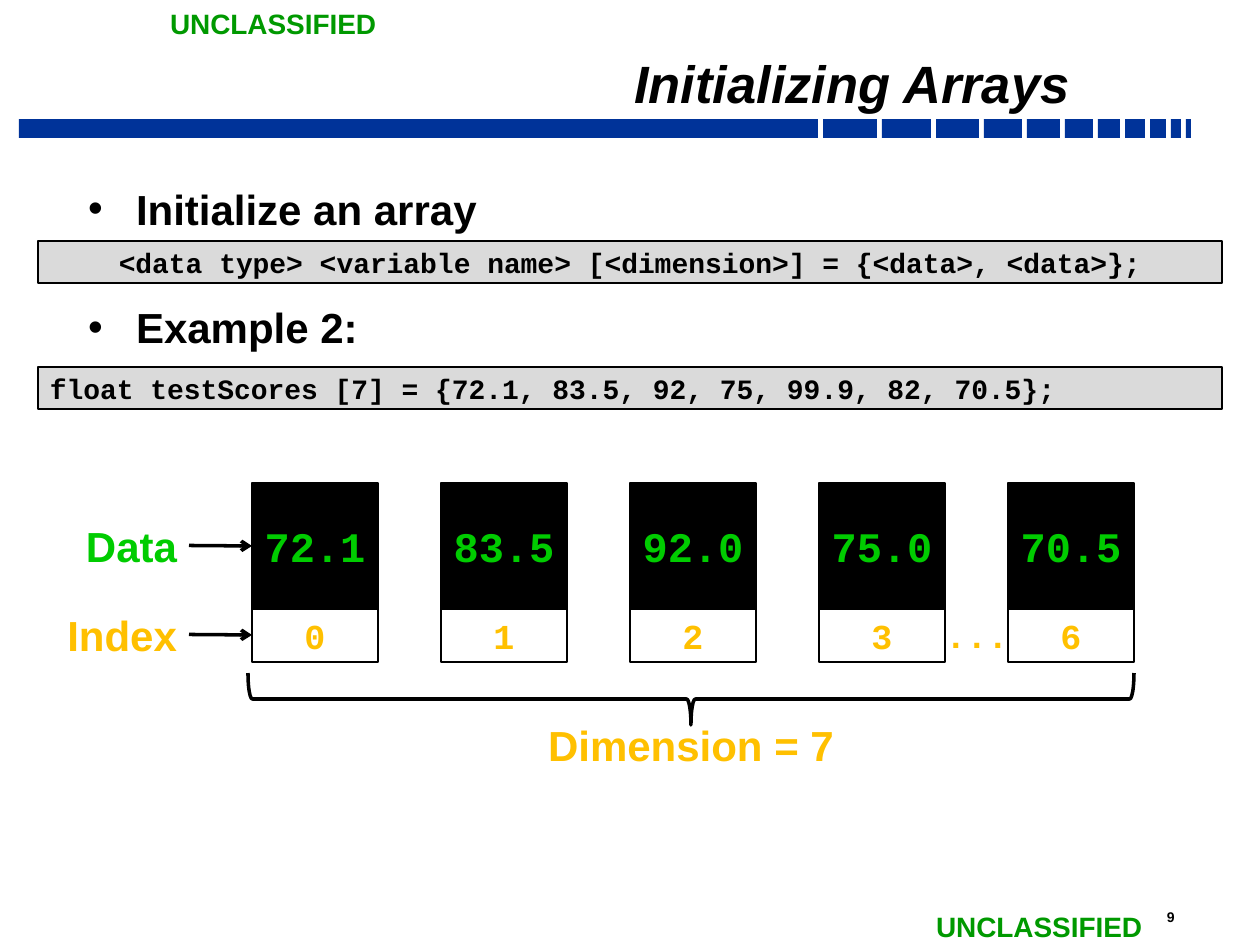
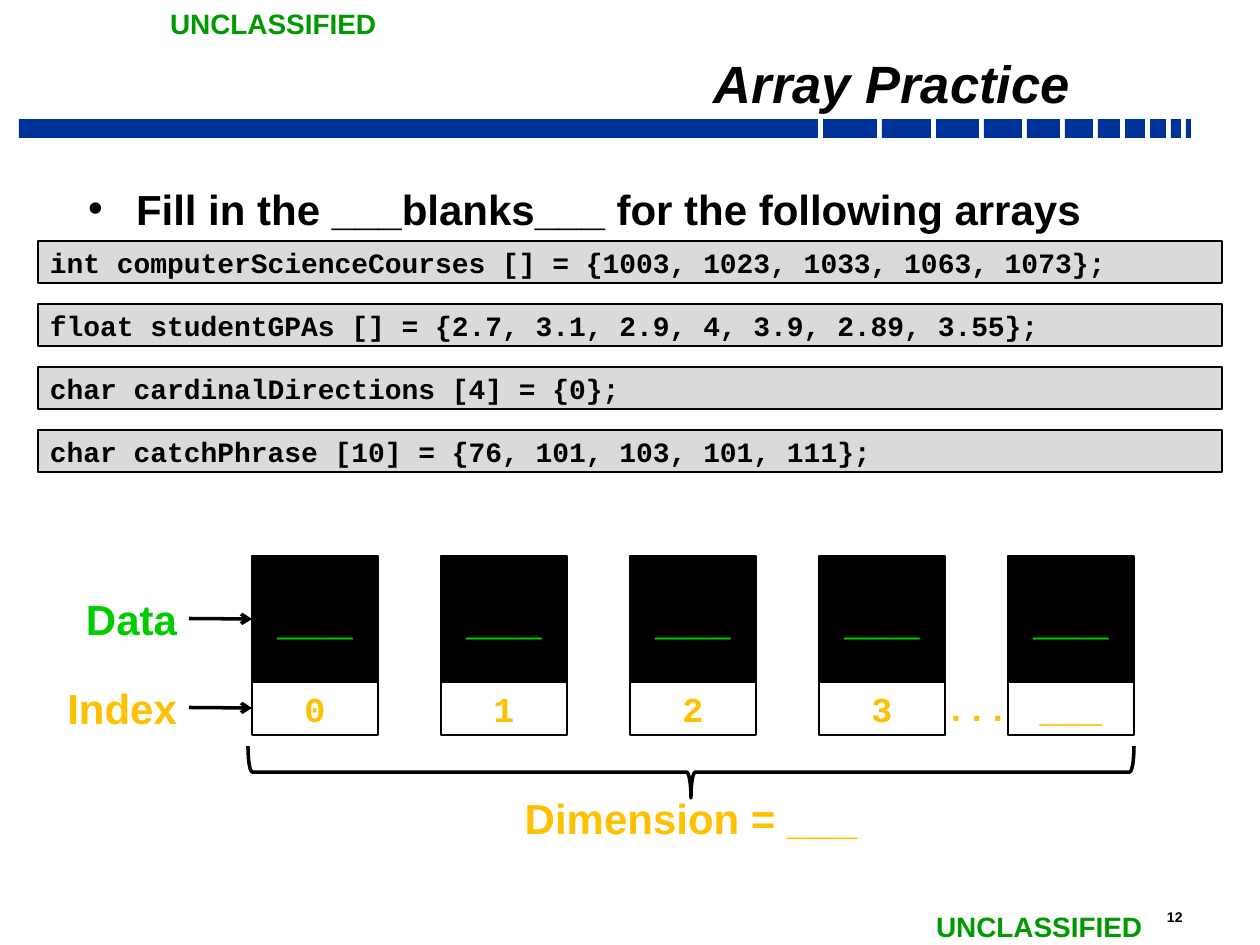
"""Builds two slides about initializing arrays in C."""
from lxml import etree
from pptx import Presentation
from pptx import util as u
from pptx.dml.color import RGBColor
from pptx.enum import shapes, text
from pptx.oxml import ns

SLIDES = [
    {
        "title": "Initializing Arrays",
        "number": "9",
        "bullets": [("Initialize an array", 3), ("Example 2:", 39)],
        "code": [
            (0, "<data type> <variable name> [<dimension>] = {<data>, <data>};", "center"),
            (2, "float testScores [7] = {72.1, 83.5, 92, 75, 99.9, 82, 70.5};", "left"),
        ],
        "array_top": 483,
        "cells": [("72.1", "0"), ("83.5", "1"), ("92.0", "2"), ("75.0", "3"), ("70.5", "6")],
        "dimension": "Dimension = 7",
    },
    {
        "title": "Array Practice",
        "number": "12",
        "bullets": [("Fill in the ___blanks___ for the following arrays", 3)],
        "code": [
            (0, "int computerScienceCourses [] = {1003, 1023, 1033, 1063, 1073};", "left"),
            (1, "float studentGPAs [] = {2.7, 3.1, 2.9, 4, 3.9, 2.89, 3.55};", "left"),
            (2, "char cardinalDirections [4] = {0};", "left"),
            (3, "char catchPhrase [10] = {76, 101, 103, 101, 111};", "left"),
        ],
        "array_top": 556,
        "cells": [("___", "0"), ("___", "1"), ("___", "2"), ("___", "3"), ("___", "___")],
        "dimension": "Dimension = ___",
    },
]
MARKING = "UNCLASSIFIED"
MARKING_PLACES = [(158, 1), (924, 904)]
BAND_WIDTHS = (799, 54, 49, 43, 38, 33, 28, 22, 20, 16, 10, 5)
BAND_LEFT, BAND_TOP, BAND_HEIGHT, BAND_GAP = 19, 119, 19, 5
CODE_TOP, CODE_PITCH = 241, 63
CELL_LEFT, CELL_PITCH, CELL_SIZE, INDEX_HEIGHT = 252, 189, 126, 54
INDEX_OFFSET = 125
TIGHT, ROOMY = (12, 5), (12, 6)

BLACK = RGBColor(0x00, 0x00, 0x00)
WHITE = RGBColor(0xFF, 0xFF, 0xFF)
BLUE = RGBColor(0x00, 0x33, 0x99)
DARK_GREEN = RGBColor(0x00, 0x99, 0x00)
GREEN = RGBColor(0x00, 0xCC, 0x00)
AMBER = RGBColor(0xFF, 0xC0, 0x00)
GREY = RGBColor(0xDA, 0xDA, 0xDA)
SANS, MONO = "Arial", "Courier New"
ALIGN = {"left": text.PP_ALIGN.LEFT, "center": text.PP_ALIGN.CENTER, "right": text.PP_ALIGN.RIGHT}
FIT, FIXED = text.MSO_AUTO_SIZE.SHAPE_TO_FIT_TEXT, text.MSO_AUTO_SIZE.NONE
TOP, MIDDLE, BOTTOM = text.MSO_ANCHOR.TOP, text.MSO_ANCHOR.MIDDLE, text.MSO_ANCHOR.BOTTOM


def px(*lengths):
    return [u.Emu(round(length * 914400 / 126)) for length in lengths]


def outline_text(span):
    line = etree.Element(ns.qn("a:ln"), w=str(u.Pt(0.75)))
    fill = etree.SubElement(line, ns.qn("a:solidFill"))
    etree.SubElement(fill, ns.qn("a:srgbClr"), val=str(BLACK))
    span._r.get_or_add_rPr().insert(0, line)


def write(box, words, size, color, font=SANS, align="left", anchor=MIDDLE,
          inset=ROOMY, fit=FIXED, wrap=True, outlined=False):
    frame = box.text_frame
    frame.text = words
    frame.word_wrap = wrap
    frame.auto_size = fit
    frame.vertical_anchor = anchor
    frame.margin_left, frame.margin_top = frame.margin_right, frame.margin_bottom = px(*inset)
    for para in frame.paragraphs:
        para.alignment = ALIGN[align]
        for span in para.runs:
            span.font.name, span.font.size, span.font.bold = font, u.Pt(size), True
            span.font.color.rgb = color
            if outlined:
                outline_text(span)
    return frame.paragraphs


def add_label(page, area, words, size, color, **style):
    box = page.shapes.add_textbox(*px(*area))
    write(box, words, size, color, **style)
    return box


def add_box(page, area, fill=None, line=None, width=1, kind=shapes.MSO_SHAPE.RECTANGLE):
    box = page.shapes.add_shape(kind, *px(*area))
    box.shadow.inherit = False
    if fill is None:
        box.fill.background()
    else:
        box.fill.solid()
        box.fill.fore_color.rgb = fill
    if line is None:
        box.line.fill.background()
    else:
        box.line.color.rgb = line
        box.line.width = u.Pt(width)
    return box


def add_arrow(page, start, end):
    arrow = page.shapes.add_connector(shapes.MSO_CONNECTOR.STRAIGHT, 0, 0, 0, 0)
    arrow.begin_connect(start, 3)
    arrow.end_connect(end, 1)
    arrow.line.color.rgb = BLACK
    arrow.line.width = u.Pt(2)
    etree.SubElement(arrow.line._get_or_add_ln(), ns.qn("a:tailEnd"), type="arrow")
    etree.SubElement(arrow._element.spPr, ns.qn("a:effectLst"))


def add_frame(page, title, number):
    left = BAND_LEFT
    for width in BAND_WIDTHS:
        add_box(page, (left, BAND_TOP, width, BAND_HEIGHT), BLUE)
        left += width + BAND_GAP
    add_label(page, (1155, 903, 68, 29), number, 8, BLACK, anchor=TOP, fit=FIT)
    for place in MARKING_PLACES:
        add_label(page, (*place, 234, 47), MARKING, 16, DARK_GREEN, anchor=TOP, fit=FIT, wrap=False)
    heading = page.shapes.title
    heading.left, heading.top, heading.width, heading.height = px(210, 43, 872, 74)
    para = write(heading, title, 30, BLACK, align="right", anchor=BOTTOM, inset=TIGHT)[0]
    para.line_spacing = 0.7
    para.runs[0].font.italic = True


def add_bullets(page, bullets):
    box = page.shapes.add_textbox(*px(76, 178, 1143, 651))
    words = "\n".join(line for line, gap in bullets)
    for para, (line, gap) in zip(write(box, words, 24, BLACK, anchor=TOP, inset=TIGHT), bullets):
        para.space_before = u.Pt(gap)
        props = para._p.get_or_add_pPr()
        indent = px(48)[0]
        props.set("marL", str(indent))
        props.set("indent", str(-indent))
        etree.SubElement(props, ns.qn("a:buFont"), typeface=SANS)
        etree.SubElement(props, ns.qn("a:buChar"), char="•")


def add_code(page, lines):
    for row, code, align in lines:
        box = add_box(page, (38, CODE_TOP + row * CODE_PITCH, 1184, 42), GREY, BLACK)
        para = write(box, code, 16, BLACK, font=MONO, align=align, inset=TIGHT)[0]
        para.space_before = u.Pt(3)


def add_array(page, top, cells, dimension):
    data_boxes, index_boxes = [], []
    index_top = top + INDEX_OFFSET
    mono = {"font": MONO, "align": "center"}
    amber = {"fit": FIT, "outlined": True}
    for position, (value, index) in enumerate(cells):
        left = CELL_LEFT + position * CELL_PITCH
        data = add_box(page, (left, top, CELL_SIZE, CELL_SIZE), BLACK, BLACK, 1.5)
        write(data, value, 24, GREEN, wrap=False, **mono)
        data_boxes.append(data)
        slot = add_box(page, (left, index_top, CELL_SIZE, INDEX_HEIGHT), None, BLACK, 0.75)
        write(slot, index, 20, AMBER, **mono, **amber)
        index_boxes.append(slot)

    data_label = add_box(page, (63, top + 31, 126, 63), None, WHITE, 0.5)
    write(data_label, "Data", 24, GREEN, align="right", **amber)
    index_label = add_label(page, (0, top + 120, 189, 63), "Index", 24, AMBER, align="right", **amber)
    add_arrow(page, data_label, data_boxes[0])
    add_arrow(page, index_label, index_boxes[0])
    add_label(page, (914, index_top - 1, CELL_SIZE, INDEX_HEIGHT), "...", 20, AMBER, **mono, **amber)

    length, depth = 886, 52
    brace = add_box(page, (691 - depth / 2, top + 216 - length / 2, depth, length),
                    None, BLACK, 2, shapes.MSO_SHAPE.LEFT_BRACE)
    brace.rotation = 270
    add_label(page, (511, top + 230, 360, 63), dimension, 24, AMBER, align="center", **amber)


def main():
    deck = Presentation()
    deck.slide_width, deck.slide_height = px(1260, 945)
    for content in SLIDES:
        page = deck.slides.add_slide(deck.slide_layouts[5])
        add_frame(page, content["title"], content["number"])
        add_bullets(page, content["bullets"])
        add_code(page, content["code"])
        add_array(page, content["array_top"], content["cells"], content["dimension"])
    deck.save("out.pptx")


if __name__ == "__main__":
    main()
